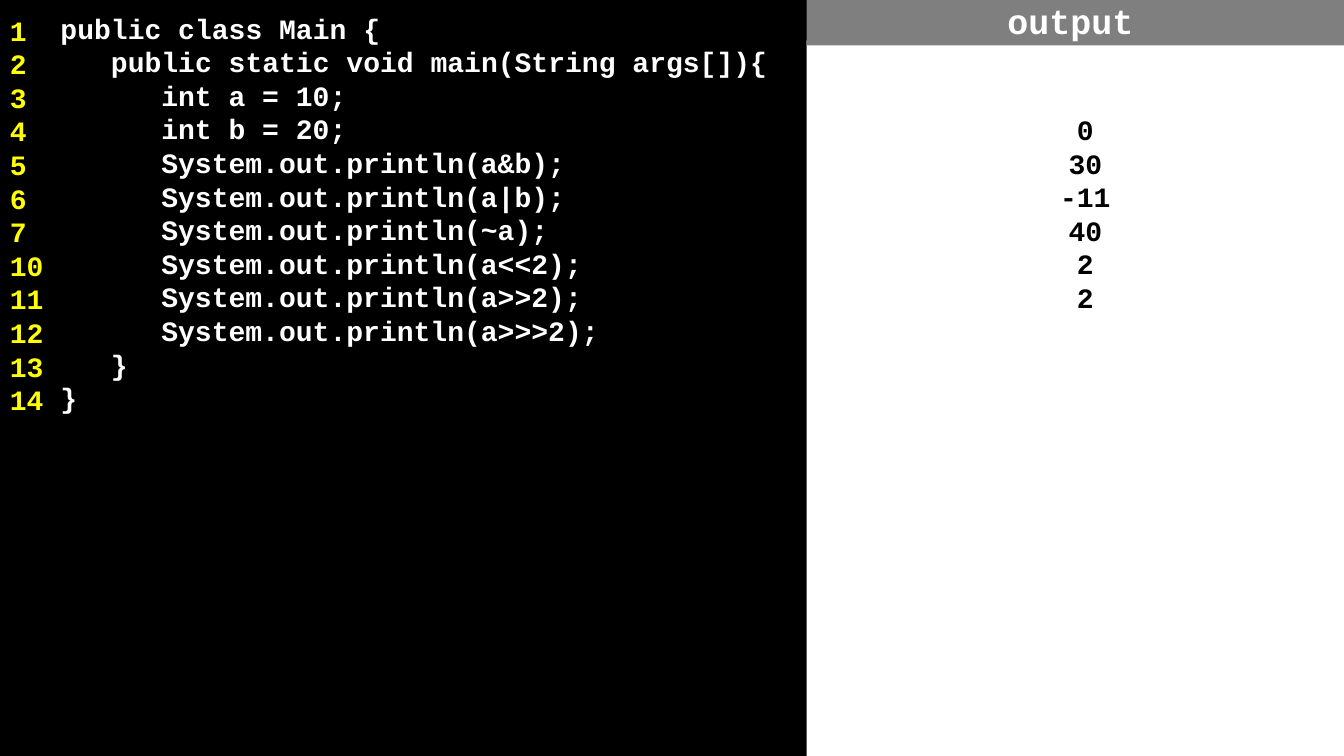
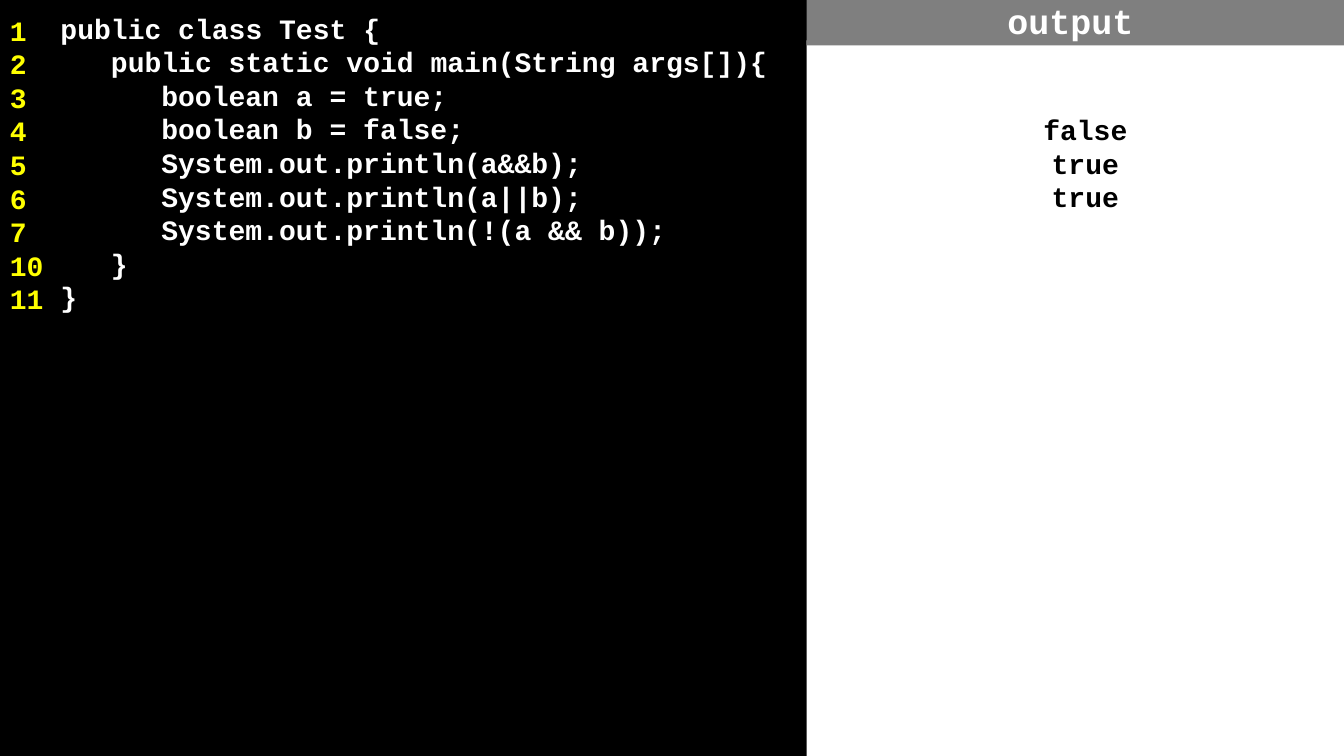
from pptx import Presentation
from pptx.dml.color import RGBColor
from pptx.enum.shapes import MSO_SHAPE as Shape
from pptx.enum.text import MSO_ANCHOR as Anchor, PP_ALIGN as Align
from pptx.oxml.ns import qn
from pptx.util import Inches, Pt
from lxml.etree import SubElement

HUES = {"dark": "000000", "light": "FFFFFF", "bar": "7F7F7F", "mark": "FFFF00"}
WIDE, HIGH = 13.33, 7.5
SPLIT = 8
BAR = 0.45
LINE = 24  # points from one line to the next

SLIDES = [
    (
        """public class Main {
   public static void main(String args[]){
\tint a = 10;
\tint b = 20;
\tSystem.out.println(a&b);
\tSystem.out.println(a|b);
\tSystem.out.println(~a);
\tSystem.out.println(a<<2);
\tSystem.out.println(a>>2);
\tSystem.out.println(a>>>2);
   }
}""",
        ["0", "30", "-11", "40", "2", "2"],
    ),
    (
        """public class Test {
   public static void main(String args[]){
\tboolean a = true;
\tboolean b = false;
\tSystem.out.println(a&&b);
\tSystem.out.println(a||b);
\tSystem.out.println(!(a && b));
   }
}""",
        ["false", "true", "true"],
    ),
]


def add_box(slide, box, hue, alpha=None):
    """Add a plain filled rectangle; alpha is its opacity in percent."""
    shape = slide.shapes.add_shape(Shape.RECTANGLE, *map(Inches, box))
    shape.shadow.inherit = False
    shape.line.fill.background()
    shape.fill.solid()
    shape.fill.fore_color.rgb = RGBColor.from_string(HUES[hue])
    if alpha is not None:
        color = shape.fill._xPr.find(qn("a:solidFill"))[0]
        SubElement(color, qn("a:alpha"), val=str(alpha * 1000))
    return shape


def add_tab(para, stop):
    """Set one left tab stop, in inches from the text edge."""
    tabs = SubElement(para._p.get_or_add_pPr(), qn("a:tabLst"))
    SubElement(tabs, qn("a:tab"), pos=str(Inches(stop)), algn="l")


def write(shape, lines, hue, pads, align=Align.LEFT, size=20,
          anchor=Anchor.TOP, pitch=LINE):
    """Fill a shape with lines; pads are left, top, right, bottom."""
    frame = shape.text_frame
    frame.word_wrap = True
    frame.vertical_anchor = anchor
    for side, pad in zip(("left", "top", "right", "bottom"), pads):
        setattr(frame, f"margin_{side}", Inches(pad))
    style = {"name": "Courier New", "size": Pt(size), "bold": True}
    for i, line in enumerate(lines):
        para = frame.add_paragraph() if i else frame.paragraphs[0]
        para.alignment = align
        para.line_spacing = Pt(pitch) if pitch else None
        if "\t" in line:
            add_tab(para, 1)
        run = para.add_run()
        run.text = line
        for key, value in style.items():
            setattr(run.font, key, value)
        run.font.color.rgb = RGBColor.from_string(HUES[hue])


def add_code(slide, box, lines):
    write(add_box(slide, box, "dark"), lines, "light", (0.6, 0.11, 0.1, 1))


def add_gutter(slide, box, count):
    """Number the code lines; the numbering skips 8 and 9."""
    left, top, width, height = box
    cap = 0.08
    add_box(slide, (left, top, width, cap), "dark", 68)
    strip = add_box(slide, (left, top + cap, width, height - cap), "dark", 68)
    marks = [str(n if n < 8 else n + 2) for n in range(1, count + 1)]
    write(strip, marks, "mark", (0.1, 0.05, 0.1, 1))


def add_output(slide, box, lines):
    left, top, width, height = box
    lap = 0.05
    panel = add_box(
        slide, (left, top + BAR - lap, width, height - BAR + lap), "light")
    write(panel, lines, "dark", (0.2, lap + 2 * LINE / 72, 0, 0), Align.CENTER)
    head = add_box(slide, (left, top, width, BAR), "bar")
    write(head, ["output"], "light", (0, 0.05, 0.1, 0.1), Align.CENTER,
          size=25, anchor=Anchor.MIDDLE, pitch=None)


def add_slide(deck, code, output):
    slide = deck.slides.add_slide(deck.slide_layouts[6])
    lines = code.split("\n")
    add_code(slide, (0, 0, 8.25, HIGH), lines)
    add_gutter(slide, (0, 0, 0.58, HIGH), len(lines))
    add_output(slide, (SPLIT, 0, WIDE - SPLIT, HIGH), output)


def main():
    deck = Presentation()
    deck.slide_width, deck.slide_height = Inches(WIDE), Inches(HIGH)
    for code, output in SLIDES:
        add_slide(deck, code, output)
    deck.save("out.pptx")


if __name__ == "__main__":
    main()
